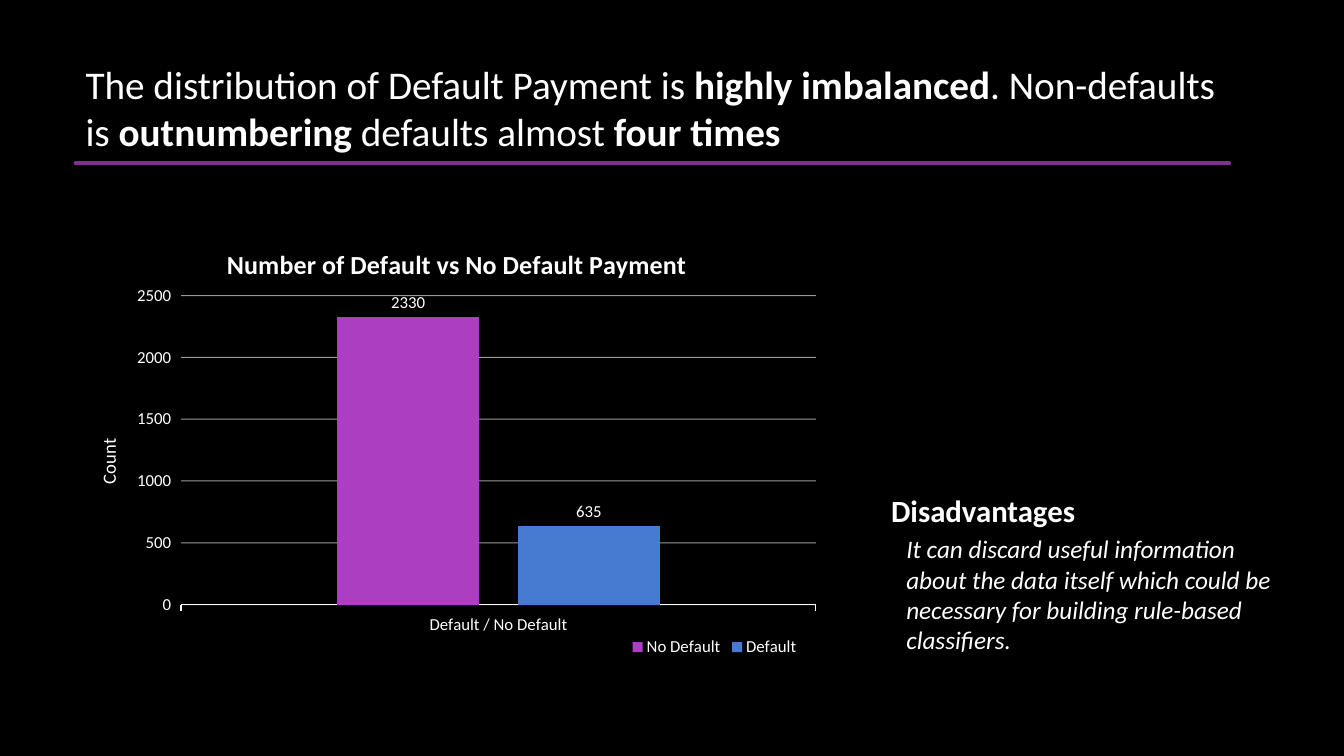
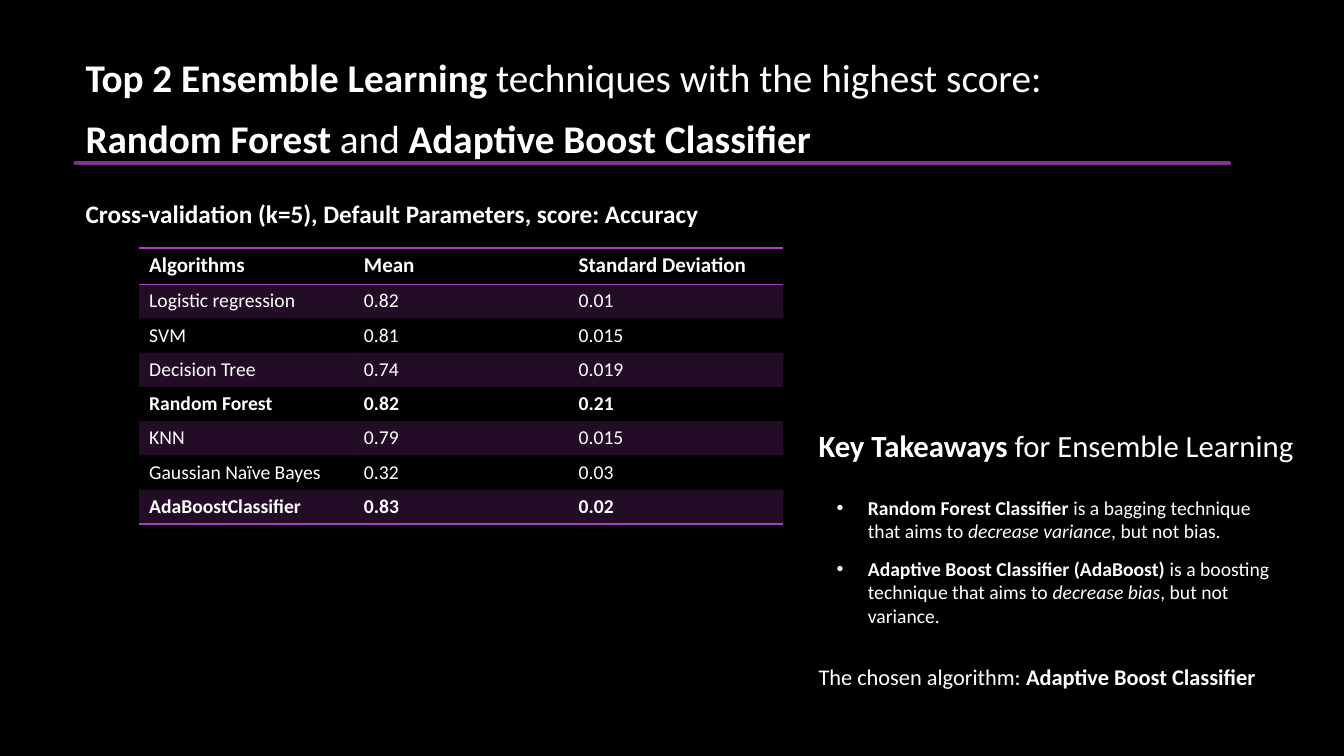
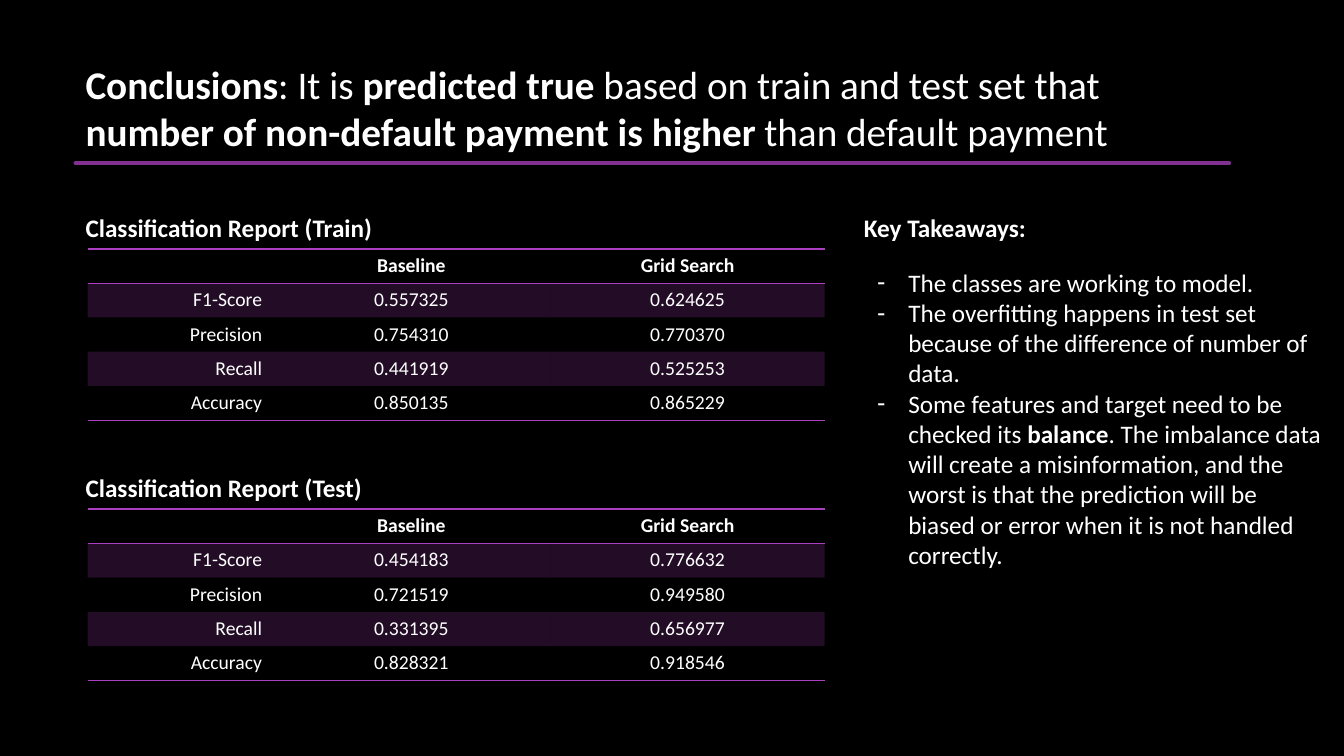
"""Build three slides on default payment prediction: balance, ensembles and conclusions."""
from dataclasses import dataclass

from lxml import etree
from pptx import Presentation
from pptx.chart.data import CategoryChartData
from pptx.dml.color import RGBColor
from pptx.enum.chart import XL_CHART_TYPE, XL_LABEL_POSITION, XL_LEGEND_POSITION, XL_TICK_MARK
from pptx.enum.shapes import MSO_CONNECTOR
from pptx.enum.text import MSO_ANCHOR, PP_ALIGN
from pptx.oxml import parse_xml
from pptx.oxml.ns import nsdecls, qn
from pptx.util import Inches, Pt

COLUMNS = XL_CHART_TYPE.COLUMN_CLUSTERED
OUTSIDE_END = XL_LABEL_POSITION.OUTSIDE_END
BOTTOM = XL_LEGEND_POSITION.BOTTOM
TICK_OUTSIDE = XL_TICK_MARK.OUTSIDE
STRAIGHT = MSO_CONNECTOR.STRAIGHT
TOP, MIDDLE = MSO_ANCHOR.TOP, MSO_ANCHOR.MIDDLE
LEFT, CENTER, RIGHT = PP_ALIGN.LEFT, PP_ALIGN.CENTER, PP_ALIGN.RIGHT


@dataclass(frozen=True)
class Theme:
    font: str = "Calibri"
    background: RGBColor = RGBColor(0x00, 0x00, 0x00)
    text: RGBColor = RGBColor(0xFF, 0xFF, 0xFF)
    rule: RGBColor = RGBColor(0x81, 0x2F, 0x91)
    accent: RGBColor = RGBColor(0xAC, 0x3E, 0xC1)
    second: RGBColor = RGBColor(0x47, 0x7B, 0xD1)
    grid: RGBColor = RGBColor(0xF2, 0xF2, 0xF2)
    title_size: float = 28
    heading_size: float = 22
    body_size: float = 18
    note_size: float = 16
    table_header_size: float = 15
    table_size: float = 14
    chart_title_size: float = 18.6
    axis_title_size: float = 13.3
    chart_size: float = 12


THEME = Theme()
NO_TABLE_STYLE = "{2D5ABB26-0587-4C30-8999-92F81FD0307C}"


def add_text(slide, box, paragraphs, size, anchor=MIDDLE, space_after=10, bullet=None):
    """Add a text box whose paragraphs are lists of (text, style) runs."""
    frame = slide.shapes.add_textbox(*map(Inches, box)).text_frame
    frame.word_wrap = True
    frame.vertical_anchor = anchor
    for index, runs in enumerate(paragraphs):
        paragraph = frame.add_paragraph() if index else frame.paragraphs[0]
        paragraph.space_after = Pt(space_after)
        if bullet:
            properties = paragraph._p.get_or_add_pPr()
            properties.set("marL", str(Inches(0.31)))
            properties.set("indent", str(-Inches(0.31)))
            etree.SubElement(properties, qn("a:buFont")).set("typeface", "Arial")
            etree.SubElement(properties, qn("a:buChar")).set("char", bullet)
        for text, style in runs:
            run = paragraph.add_run()
            run.text = text
            run.font.name = THEME.font
            run.font.size = Pt(size)
            run.font.color.rgb = THEME.text
            run.font.bold = style == "b"
            run.font.italic = style == "i"


def add_report_table(slide, left, top, widths, rows, alignments, header_size, header_height, bold_rows=()):
    """Add a banded table with lines around the header and below the last row."""
    row_height = 0.34
    height = header_height + row_height * (len(rows) - 1)
    table = slide.shapes.add_table(
        len(rows), len(widths), Inches(left), Inches(top), Inches(sum(widths)), Inches(height)).table
    table._tbl.tblPr.find(qn("a:tableStyleId")).text = NO_TABLE_STYLE
    table.horz_banding = False
    for column, width in zip(table.columns, widths):
        column.width = Inches(width)
    for row_index, values in enumerate(rows):
        table.rows[row_index].height = Inches(row_height if row_index else header_height)
        edges = ["lnT", "lnB"] if row_index == 0 else ["lnB"] if row_index == len(rows) - 1 else []
        for column_index, value in enumerate(values):
            cell = table.cell(row_index, column_index)
            paragraph = cell.text_frame.paragraphs[0]
            paragraph.alignment = alignments[column_index]
            paragraph.font.size = Pt(THEME.table_size)
            if value:
                run = paragraph.add_run()
                run.text = value
                run.font.name = THEME.font
                run.font.size = Pt(THEME.table_size if row_index else header_size)
                run.font.color.rgb = THEME.text
                run.font.bold = row_index == 0 or row_index in bold_rows
            properties = cell._tc.get_or_add_tcPr()
            if row_index % 2:
                cell.fill.solid()
                cell.fill.fore_color.rgb = THEME.accent
                color = next(properties.iter(qn("a:srgbClr")))
                etree.SubElement(color, qn("a:alpha")).set("val", "20000")
            else:
                cell.fill.background()
            for position, edge in enumerate(edges):
                properties.insert(position, parse_xml(
                    f'<a:{edge} {nsdecls("a")} w="{Pt(1)}"><a:solidFill>'
                    f'<a:srgbClr val="{THEME.accent}"/></a:solidFill></a:{edge}>'))


presentation = Presentation()
presentation.slide_width = Inches(13.33)
presentation.slide_height = Inches(7.5)
master_fill = presentation.slide_master.background.fill
master_fill.solid()
master_fill.fore_color.rgb = THEME.background

titles = [
    (11.53, [[("The distribution of Default Payment is ", ""), ("highly imbalanced", "b"),
              (". Non-defaults is ", ""), ("outnumbering", "b"),
              (" defaults almost ", ""), ("four times", "b")]]),
    (11.23, [[("Top 2 Ensemble Learning ", "b"), ("techniques with the highest score:", "")],
             [("Random Forest ", "b"), ("and", ""), (" Adaptive Boost Classifier", "b")]]),
    (11.23, [[("Conclusions", "b"), (": It is ", ""), ("predicted true ", "b"),
              ("based on train and test set that ", ""),
              ("number of non-default payment is higher", "b"), (" than default payment", "")]]),
]
slides = []
for title_width, title in titles:
    slide = presentation.slides.add_slide(presentation.slide_layouts[6])
    add_text(slide, (0.75, 0.5, title_width, 1.13), title, THEME.title_size)
    rule = slide.shapes.add_connector(STRAIGHT, Inches(0.75), Inches(1.62), Inches(12.19), Inches(1.62))
    rule.line.color.rgb = THEME.rule
    rule.line.width = Pt(3)
    rule_properties = rule._element.spPr
    rule_properties.find(qn("a:ln")).set("cap", "rnd")
    etree.SubElement(rule_properties, qn("a:effectLst"))
    slides.append(slide)
balance_slide, ensemble_slide, conclusion_slide = slides

chart_data = CategoryChartData()
chart_data.categories = ["Default / No Default"]
chart_data.add_series("No Default", [2330])
chart_data.add_series("Default", [635])
chart = balance_slide.shapes.add_chart(
    COLUMNS, Inches(0.69), Inches(2.17), Inches(7.57), Inches(4.57), chart_data).chart
chart.font.name = THEME.font
chart.font.size = Pt(THEME.chart_size)
chart.font.color.rgb = THEME.text

plot = chart.plots[0]
plot.vary_by_categories = False
plot.gap_width = 219
plot.overlap = -27
for series, color in zip(plot.series, (THEME.accent, THEME.second)):
    series.format.fill.solid()
    series.format.fill.fore_color.rgb = color
    labels = series.data_labels
    labels.show_value = True
    labels.position = OUTSIDE_END
    labels.font.name = THEME.font
    labels.font.size = Pt(THEME.chart_size)
    labels.font.color.rgb = THEME.text

category_axis, value_axis = chart.category_axis, chart.value_axis
for axis in (category_axis, value_axis):
    axis.major_tick_mark = TICK_OUTSIDE
    axis.tick_labels.font.name = THEME.font
    axis.tick_labels.font.size = Pt(THEME.chart_size)
    axis.tick_labels.font.color.rgb = THEME.text
category_axis.format.line.color.rgb = THEME.text
category_axis.format.line.width = Pt(0.75)
value_axis.format.line.fill.background()
value_axis.minimum_scale = 0
value_axis.maximum_scale = 2500
value_axis.major_unit = 500
gridlines = value_axis.major_gridlines
gridlines.format.line.color.rgb = THEME.grid
gridlines.format.line.width = Pt(0.75)
grid_color = next(value_axis._element.find(qn("c:majorGridlines")).iter(qn("a:srgbClr")))
etree.SubElement(grid_color, qn("a:alpha")).set("val", "64000")

chart.has_title = True
for heading, text, size, bold in (
        (chart.chart_title, "Number of Default vs No Default Payment", THEME.chart_title_size, True),
        (value_axis.axis_title, "Count", THEME.axis_title_size, False)):
    run = heading.text_frame.paragraphs[0].add_run()
    run.text = text
    run.font.name = THEME.font
    run.font.size = Pt(size)
    run.font.bold = bold
    run.font.color.rgb = THEME.text

chart.has_legend = True
legend = chart.legend
legend.position = BOTTOM
legend.include_in_layout = False
legend.font.name = THEME.font
legend.font.size = Pt(THEME.chart_size)
legend.font.color.rgb = THEME.text

plot_area = chart._chartSpace.chart.plotArea
for element, position, target, places in (
        (plot_area, 0, '<c:layoutTarget val="inner"/>', {"x": 0.146, "y": 0.167, "w": 0.832, "h": 0.671}),
        (chart.chart_title._element, 1, "", {"x": 0.2, "y": 0.05}),
        (value_axis.axis_title._element, 1, "", {"x": 0.03, "y": 0.47}),
        (legend._element, 1, "", {"x": 0.73, "y": 0.9, "w": 0.23, "h": 0.06})):
    for layout in element.findall(qn("c:layout")):
        element.remove(layout)
    modes = "".join(f'<c:{key}Mode val="edge"/>' for key in "xy")
    values = "".join(f'<c:{key} val="{value}"/>' for key, value in places.items())
    element.insert(position, parse_xml(
        f'<c:layout {nsdecls("c")}><c:manualLayout>{target}{modes}{values}</c:manualLayout></c:layout>'))

add_text(balance_slide, (8.74, 4.58, 2.53, 0.96), [[("Disadvantages", "b")]], THEME.heading_size)
add_text(balance_slide, (8.89, 5.14, 3.92, 1.51),
         [[("It can discard useful information about the data itself which could be necessary "
            "for building rule-based classifiers.", "i")]], THEME.body_size)

add_text(ensemble_slide, (0.75, 1.9, 6.39, 0.43),
         [[("Cross-validation (k=5), Default Parameters, score: Accuracy", "b")]], THEME.body_size)
scores = [
    ("Algorithms", "Mean", "Standard Deviation"),
    ("Logistic regression", "0.82", "0.01"),
    ("SVM", "0.81", "0.015"),
    ("Decision Tree", "0.74", "0.019"),
    ("Random Forest", "0.82", "0.21"),
    ("KNN", "0.79", "0.015"),
    ("Gaussian Naïve Bayes", "0.32", "0.03"),
    ("AdaBoostClassifier", "0.83", "0.02"),
]
add_report_table(ensemble_slide, 1.38, 2.46, [2.13] * 3, scores, [LEFT] * 3,
                 THEME.table_header_size, 0.36, bold_rows=(4, 7))
add_text(ensemble_slide, (8.02, 3.97, 5.18, 0.89),
         [[("Key Takeaways ", "b"), ("for Ensemble Learning", "")]], THEME.heading_size)
add_text(ensemble_slide, (8.2, 4.64, 4.64, 1.86),
         [[("Random Forest Classifier ", "b"), ("is a bagging technique that aims to ", ""),
           ("decrease variance", "i"), (", but not bias.", "")],
          [("Adaptive Boost Classifier (AdaBoost) ", "b"), ("is a boosting technique that aims to ", ""),
           ("decrease bias", "i"), (", but not variance.", "")]],
         THEME.table_size, bullet="•")
add_text(ensemble_slide, (8.02, 6.42, 4.82, 0.58),
         [[("The chosen algorithm: ", ""), ("Adaptive Boost Classifier", "b")]], THEME.note_size)

measures = ["F1-Score", "Precision", "Recall", "Accuracy"]
reports = [
    ("Train", 2.04, ["0.557325", "0.754310", "0.441919", "0.850135"],
     ["0.624625", "0.770370", "0.525253", "0.865229"]),
    ("Test", 4.62, ["0.454183", "0.721519", "0.331395", "0.828321"],
     ["0.776632", "0.949580", "0.656977", "0.918546"]),
]
for name, top, baseline, grid_search in reports:
    add_text(conclusion_slide, (0.75, top, 3.51, 0.43),
             [[(f"Classification Report ({name})", "b")]], THEME.body_size)
    rows = [("", "Baseline", "Grid Search"), *zip(measures, baseline, grid_search)]
    add_report_table(conclusion_slide, 0.87, top + 0.43, [1.83, 2.76, 2.72], rows,
                     [RIGHT, CENTER, CENTER], THEME.table_size, 0.34)
add_text(conclusion_slide, (8.47, 2.04, 3.51, 0.43), [[("Key Takeaways:", "b")]], THEME.body_size)
add_text(conclusion_slide, (8.6, 2.6, 4.62, 3.13),
         [[("The classes are working to model.", "")],
          [("The overfitting happens in test set because of the difference of number of data.", "")],
          [("Some features and target need to be checked its ", ""), ("balance", "b"),
           (". The imbalance data will create a misinformation, and the worst is that the prediction "
            "will be biased or error when it is not handled correctly.", "")]],
         THEME.body_size, anchor=TOP, space_after=0, bullet="-")

presentation.save("out.pptx")
